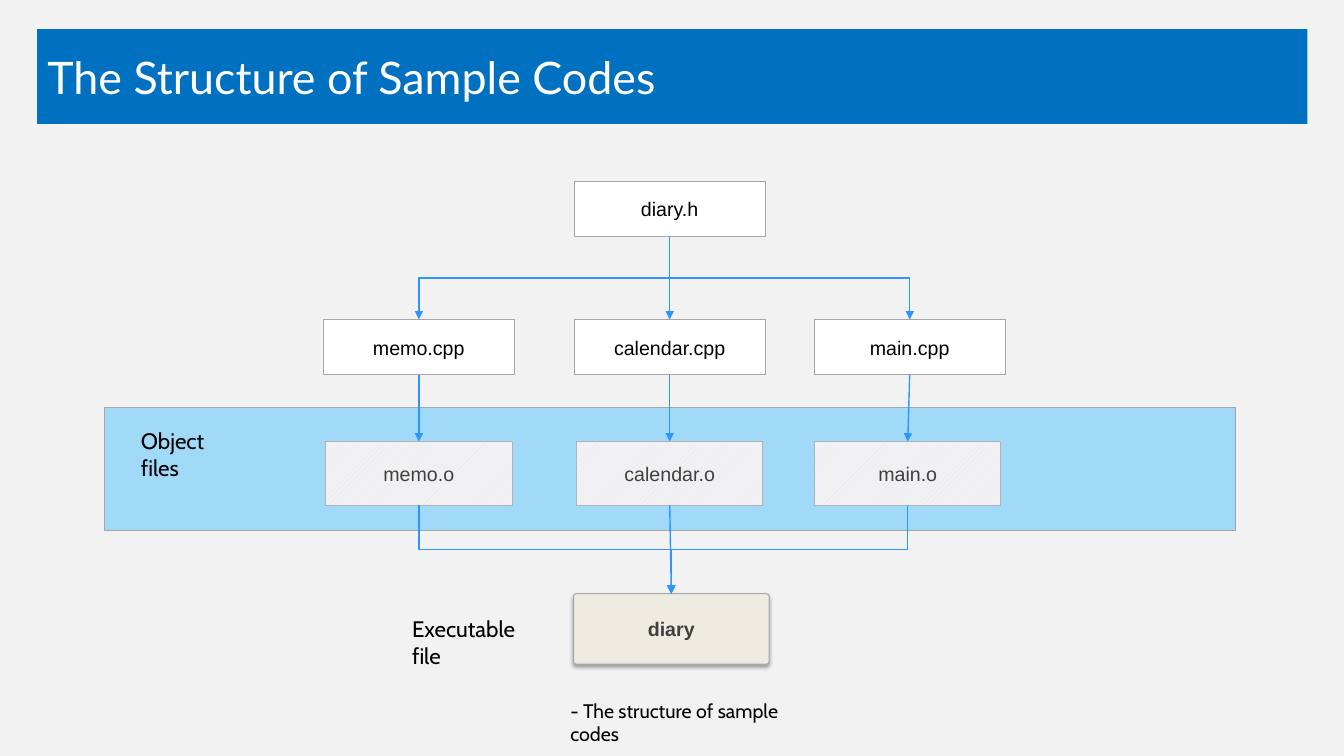
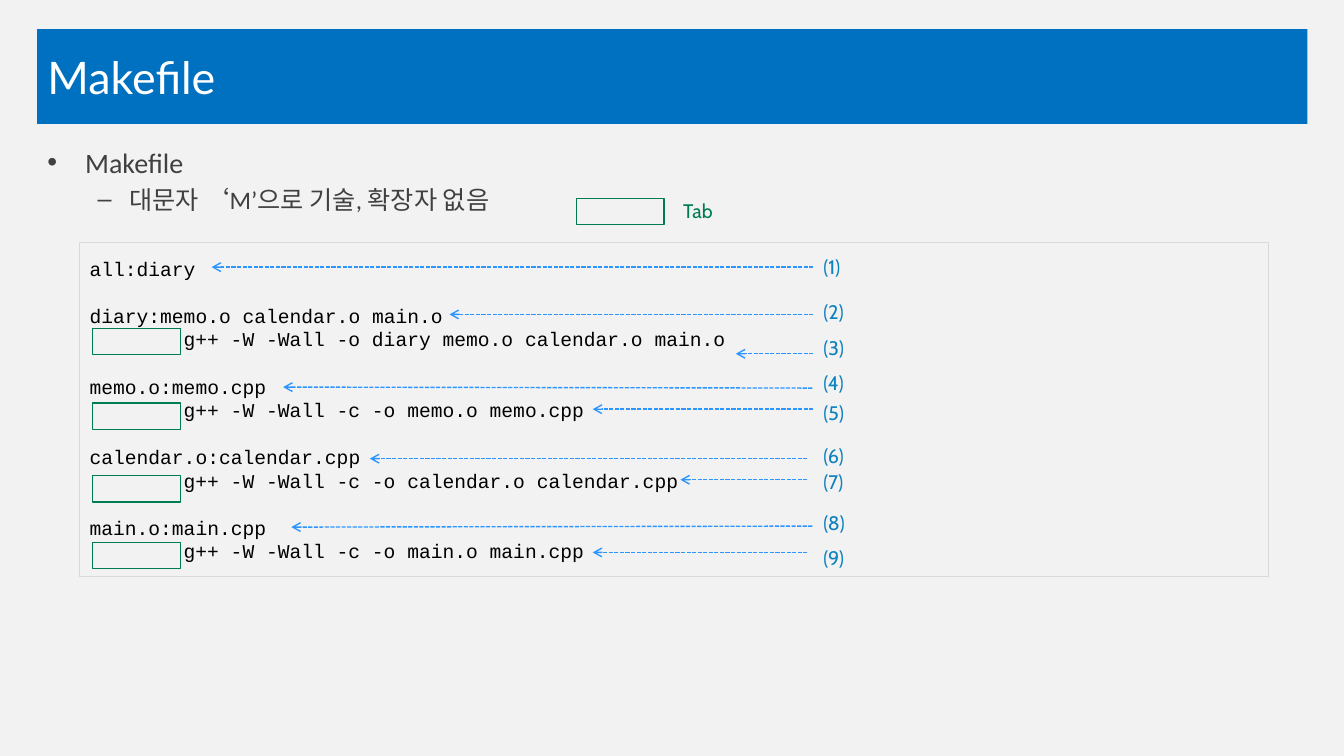
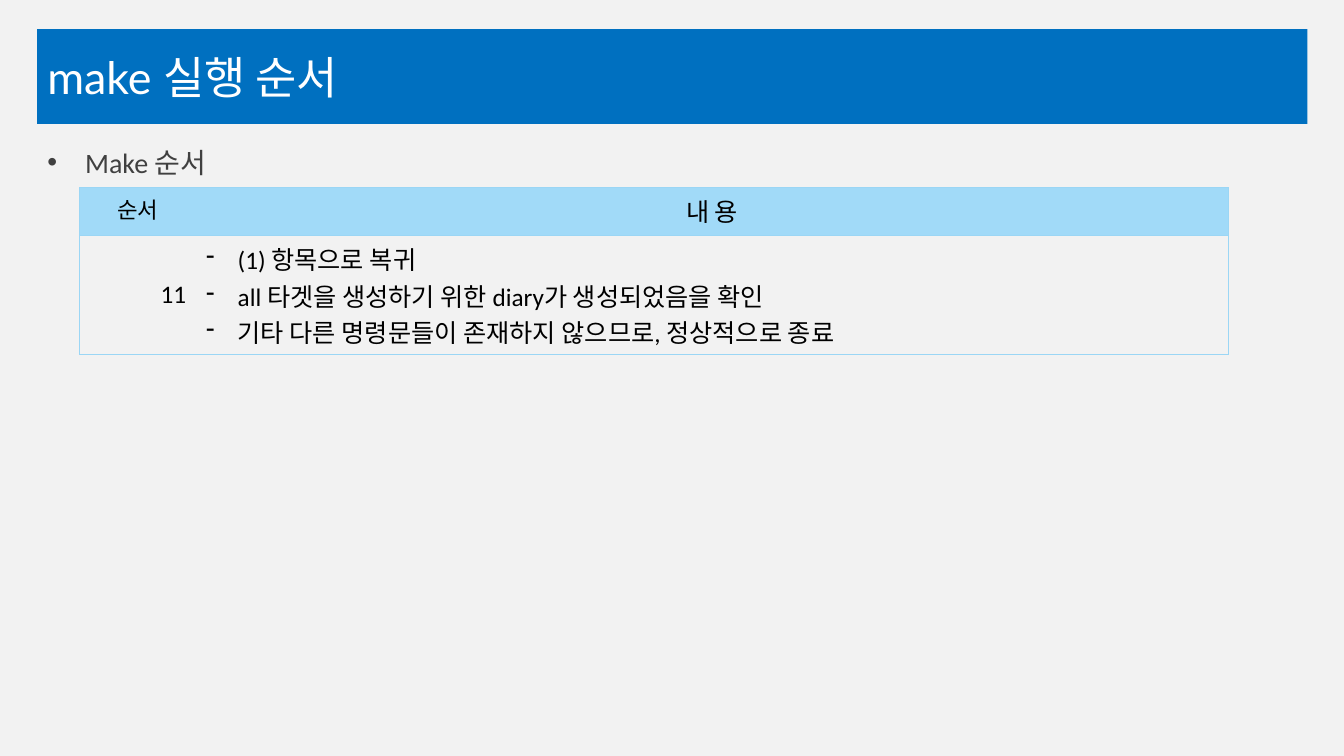
from dataclasses import dataclass

from lxml import etree
from pptx import Presentation
from pptx.dml.color import RGBColor
from pptx.enum import dml, shapes, text
from pptx.oxml.ns import qn
from pptx.util import Pt


@dataclass(frozen=True)
class Theme:
    page: str = "F2F2F2"
    band: str = "0070C0"
    white: str = "FFFFFF"
    black: str = "000000"
    gray_text: str = "404040"
    sky: str = "A1DAF8"
    table_edge: str = "9BD6F5"
    box_edge: str = "A6A6A6"
    object_edge: str = "B2B2B2"
    hatch: str = "E8E8E8"
    hatch_back: str = "F1F1F3"
    beige: str = "EEECE1"
    arrow: str = "2C95FF"
    code_edge: str = "D9D9D9"
    green: str = "007B54"
    number: str = "0E82BE"
    title_font: str = "Lato"
    body_font: str = "Calibri"
    box_font: str = "Arial"
    note_font: str = "Cabin"
    code_font: str = "Courier New"
    title_size: float = 32
    list_size: float = 20
    sub_size: float = 18
    label_size: float = 16
    small_size: float = 14
    hairline: float = 0.75


@dataclass(frozen=True)
class Box:
    left: float
    top: float
    width: float
    height: float

    @property
    def cx(self):
        return self.left + self.width / 2

    @property
    def bottom(self):
        return self.top + self.height

    def inner(self, x, y, width, height):
        return Box(self.left + x, self.top + y, width, height)

    def lengths(self):
        return [Pt(v) for v in (self.left, self.top, self.width, self.height)]


THEME = Theme()
TITLE_BOX = Box(26.6, 20.9, 907.2, 67.7)
BODY_BOX = Box(26.6, 100.1, 907.2, 419.8)
TITLE_ONLY, TITLE_AND_BODY = 5, 1
ALIGN = text.PP_ALIGN
ANCHOR = text.MSO_ANCHOR


def rgb(color):
    return RGBColor.from_string(color)


def add_run(paragraph, words, size, font, color, bold=False):
    run = paragraph.add_run()
    run.text = words
    run.font.size, run.font.name, run.font.bold = Pt(size), font, bold
    run.font.color.rgb = rgb(color)


def indent(paragraph, margin, first=0, bullet=None):
    properties = paragraph._p.get_or_add_pPr()
    properties.set("marL", str(Pt(margin)))
    properties.set("indent", str(Pt(first)))
    if bullet:
        etree.SubElement(properties, qn("a:buChar")).set("char", bullet)


def place(placeholder, box):
    placeholder.left, placeholder.top, placeholder.width, placeholder.height = box.lengths()
    placeholder.text_frame.auto_size = text.MSO_AUTO_SIZE.NONE


def new_slide(prs, title, layout):
    slide = prs.slides.add_slide(prs.slide_layouts[layout])
    heading = slide.shapes.title
    place(heading, TITLE_BOX)
    heading.fill.solid()
    heading.fill.fore_color.rgb = rgb(THEME.band)
    heading.text_frame.vertical_anchor = ANCHOR.MIDDLE
    paragraph = heading.text_frame.paragraphs[0]
    paragraph.alignment = ALIGN.LEFT
    add_run(paragraph, title, THEME.title_size, THEME.title_font, THEME.white)
    return slide


def fill_body(slide, items):
    """Write the list; the first item is level 0, the others level 1."""
    body = slide.placeholders[1]
    place(body, BODY_BOX)
    frame = body.text_frame
    for index, item in enumerate(items):
        paragraph = frame.add_paragraph() if index else frame.paragraphs[0]
        paragraph.level = min(index, 1)
        size = THEME.sub_size if index else THEME.list_size
        add_run(paragraph, item, size, THEME.body_font, THEME.gray_text)


def add_box(slide, box, edge, fill=None, width=THEME.hairline,
            preset=shapes.MSO_SHAPE.RECTANGLE):
    shape = slide.shapes.add_shape(preset, *box.lengths())
    shape.shadow.inherit = False
    shape.line.color.rgb = rgb(edge)
    shape.line.width = Pt(width)
    if fill:
        shape.fill.solid()
        shape.fill.fore_color.rgb = rgb(fill)
    else:
        shape.fill.background()
    return shape


def label_box(shape, words, color, bold=False):
    paragraph = shape.text_frame.paragraphs[0]
    paragraph.alignment = ALIGN.CENTER
    add_run(paragraph, words, THEME.small_size, THEME.box_font, color, bold)


def add_note(slide, box, words, size, color=THEME.black):
    frame = slide.shapes.add_textbox(*box.lengths()).text_frame
    frame.word_wrap = True
    add_run(frame.paragraphs[0], words, size, THEME.note_font, color)


def add_arrow(slide, start, end, kind=shapes.MSO_CONNECTOR.STRAIGHT,
              head="triangle", dash=None):
    connector = slide.shapes.add_connector(kind, *[Pt(v) for v in (*start, *end)])
    connector.line.color.rgb = rgb(THEME.arrow)
    connector.line.width = Pt(1)
    if dash:
        connector.line.dash_style = dash
    properties = connector._element.spPr
    etree.SubElement(properties.find(qn("a:ln")), qn("a:tailEnd")).set("type", head)
    etree.SubElement(properties, qn("a:effectLst"))
    return connector


def add_vertical_elbow(slide, start, end):
    """Elbow arrow that leaves downwards: a quarter-turned horizontal elbow."""
    (x1, y1), (x2, y2) = start, end
    drop, reach = y2 - y1, abs(x2 - x1)
    near, far = (x1 + x2 - drop) / 2, (x1 + x2 + drop) / 2
    top = (y1 + y2 - reach) / 2
    to_right = x2 > x1
    first, last = (far, near) if to_right else (near, far)
    elbow = add_arrow(slide, (first, top), (last, top + reach),
                      shapes.MSO_CONNECTOR.ELBOW)
    quarter_turns = 3 if to_right else 1
    elbow._element.spPr.find(qn("a:xfrm")).set("rot", str(quarter_turns * 90 * 60000))


def add_soft_shadow(shape):
    effects = shape._element.spPr.find(qn("a:effectLst"))
    shadow = etree.SubElement(effects, qn("a:outerShdw"), blurRad=str(Pt(3.1)),
                              dist=str(Pt(1.8)), dir="5400000", rotWithShape="0")
    color = etree.SubElement(shadow, qn("a:srgbClr"), val=THEME.black)
    etree.SubElement(color, qn("a:alpha"), val="35000")


def draw_source_file(slide, box, words):
    label_box(add_box(slide, box, THEME.box_edge, THEME.white), words, THEME.black)


def draw_object_file(slide, box, words):
    shape = add_box(slide, box, THEME.object_edge)
    shape.fill.patterned()
    shape.fill.pattern = dml.MSO_PATTERN.WIDE_UPWARD_DIAGONAL
    shape.fill.fore_color.rgb = rgb(THEME.hatch)
    shape.fill.back_color.rgb = rgb(THEME.hatch_back)
    shape.text_frame.word_wrap = False
    label_box(shape, words, THEME.gray_text)


def draw_executable(slide, box, words):
    shape = add_box(slide, box, THEME.box_edge, THEME.beige,
                    preset=shapes.MSO_SHAPE.ROUNDED_RECTANGLE)
    shape.adjustments[0] = 0.04
    add_soft_shadow(shape)
    label_box(shape, words, THEME.gray_text, bold=True)


def draw_build_tree(slide, area):
    """Header, sources, objects and executable, joined from top to bottom."""
    modules = [("memo", 224.3, 224.3), ("calendar", 403.5, 403.5), ("main", 574.9, 573.5)]
    source_w, source_h, object_w, object_h = 136.4, 39.6, 133.2, 45.4
    add_box(slide, area.inner(0, 161.3, area.width, 87.8), THEME.box_edge, THEME.sky)
    header = area.inner(403.5 - source_w / 2, 0, source_w, source_h)
    executable = area.inner(334.8, 294.5, 139.7, 50.4)
    draw_source_file(slide, header, "diary.h")
    draw_executable(slide, executable, "diary")

    for name, source_x, object_x in modules:
        source = area.inner(source_x - source_w / 2, 98.6, source_w, source_h)
        compiled = area.inner(object_x - object_w / 2, 185.8, object_w, object_h)
        draw_source_file(slide, source, f"{name}.cpp")
        draw_object_file(slide, compiled, f"{name}.o")
        join = add_arrow if name == "calendar" else add_vertical_elbow
        join(slide, (header.cx, header.bottom), (source.cx, source.top))
        add_arrow(slide, (source.cx, source.bottom), (compiled.cx, compiled.top))
        join(slide, (compiled.cx, compiled.bottom), (executable.cx, executable.top))

    add_note(slide, area.inner(18.7, 172.1, 81.4, 26.6), "Object files", THEME.label_size)
    add_note(slide, area.inner(212.4, 306, 101.5, 26.6), "Executable file", THEME.label_size)
    add_note(slide, area.inner(325.4, 365.8, 175.7, 24.5),
             "- The structure of sample codes", THEME.small_size)


def draw_tab_mark(slide, box):
    add_box(slide, box, THEME.green, width=1)


def draw_tab_legend(slide, area):
    draw_tab_mark(slide, area.inner(0, 2.9, 62.6, 18.7))
    add_note(slide, area.inner(69.1, 0, 69.1, 24.5), "Tab", THEME.small_size, THEME.green)


def draw_code(slide, area, rules):
    """Each rule is a target line and, where there is one, its command."""
    line_height, tab_width = 16.8, 67.2
    frame = add_box(slide, area, THEME.code_edge).text_frame
    frame.word_wrap = True
    lines = [(line, depth, number) for number, rule in enumerate(rules)
             for depth, line in enumerate(rule)]
    for index, (line, depth, number) in enumerate(lines):
        paragraph = frame.add_paragraph() if index else frame.paragraphs[0]
        paragraph.alignment = ALIGN.LEFT
        paragraph.line_spacing = Pt(line_height)
        paragraph.space_before = Pt(line_height if number and not depth else 0)
        indent(paragraph, depth * tab_width)
        add_run(paragraph, line, THEME.small_size, THEME.code_font, THEME.black)


def draw_code_marks(slide, area):
    for top in (61.2, 114.5, 166.3, 213.9):
        draw_tab_mark(slide, area.inner(9.3, top, 62.6, 18.7))
    # label top, arrow start (x, y), arrow end (x, y)
    callouts = [
        (5.1, (524.1, 17.3), (94.3, 17.3)),
        (37.5, (524.1, 51.1), (264.2, 51.1)),
        (62.7, (524.1, 79.2), (468.7, 79.2)),
        (87.9, (523.4, 103.7), (145.4, 103)),
        (109.5, (524.1, 118.8), (366.5, 118.8)),
        (140.4, (519.8, 154.1), (207.3, 154.1)),
        (158.4, (519.8, 169.2), (429.1, 169.2)),
        (187.9, (523.4, 202.3), (151.2, 203)),
        (213.1, (519.8, 221.1), (366.5, 221.1)),
    ]
    for number, (top, start, end) in enumerate(callouts, 1):
        add_note(slide, area.inner(524.1, top, 69.1, 24.5), f"({number})",
                 THEME.small_size, THEME.number)
        start, end = [(area.left + x, area.top + y) for x, y in (start, end)]
        add_arrow(slide, start, end, head="arrow", dash=dml.MSO_LINE.SQUARE_DOT)


def set_borders(cell, sides):
    """Draw the named sides (of L, R, T, B) and clear the others."""
    properties = cell._tc.get_or_add_tcPr()
    for position, side in enumerate("LRTB"):
        edge = etree.Element(qn(f"a:ln{side}"), w=str(Pt(THEME.hairline)))
        if side in sides:
            paint = etree.SubElement(edge, qn("a:solidFill"))
            etree.SubElement(paint, qn("a:srgbClr"), val=THEME.table_edge)
        else:
            etree.SubElement(edge, qn("a:noFill"))
        properties.insert(position, edge)


def fill_cell(cell, lines, size, align, sides, fill=None, bullet=None):
    if fill:
        cell.fill.solid()
        cell.fill.fore_color.rgb = rgb(fill)
    else:
        cell.fill.background()
    cell.vertical_anchor = ANCHOR.TOP if fill else ANCHOR.MIDDLE
    set_borders(cell, sides)
    for index, line in enumerate(lines):
        frame = cell.text_frame
        paragraph = frame.add_paragraph() if index else frame.paragraphs[0]
        paragraph.alignment = align
        if bullet:
            indent(paragraph, 22.5, -22.5, bullet)
        add_run(paragraph, line, size, THEME.body_font, THEME.black)


def draw_step_table(slide, area, step, details):
    table = slide.shapes.add_table(2, 2, *area.lengths()).table
    table.first_row = table.horz_banding = False
    step_width, header_height = 83.2, 34.2
    table.columns[0].width = Pt(step_width)
    table.columns[1].width = Pt(area.width - step_width)
    table.rows[0].height = Pt(header_height)
    table.rows[1].height = Pt(area.height - header_height)
    fill_cell(table.cell(0, 0), ["순서"], THEME.label_size, ALIGN.CENTER, "LTB", THEME.sky)
    fill_cell(table.cell(0, 1), ["내 용"], THEME.sub_size, ALIGN.CENTER, "RTB", THEME.sky)
    fill_cell(table.cell(1, 0), [step], THEME.sub_size, ALIGN.RIGHT, "LTB")
    fill_cell(table.cell(1, 1), details, THEME.sub_size, ALIGN.LEFT, "RTB", bullet="-")


def build_structure(prs):
    slide = new_slide(prs, "The Structure of Sample Codes", TITLE_ONLY)
    draw_build_tree(slide, Box(74.9, 129.6, 807.8, 390.3))


def build_makefile(prs):
    slide = new_slide(prs, "Makefile", TITLE_AND_BODY)
    fill_body(slide, ["Makefile", "대문자 ‘M’으로 기술, 확장자 없음"])
    code_area = Box(56.9, 173.5, 848.9, 238.3)
    draw_code(slide, code_area, [
        ["all:diary"],
        ["diary:memo.o calendar.o main.o",
         "g++ -W -Wall -o diary memo.o calendar.o main.o"],
        *[[f"{name}.o:{name}.cpp", f"g++ -W -Wall -c -o {name}.o {name}.cpp"]
          for name in ("memo", "calendar", "main")],
    ])
    draw_code_marks(slide, code_area)
    draw_tab_legend(slide, Box(411.8, 138.9, 138.2, 24.5))


def build_order(prs):
    slide = new_slide(prs, "make 실행 순서", TITLE_AND_BODY)
    fill_body(slide, ["Make 순서"])
    draw_step_table(slide, Box(56.9, 133.9, 820.4, 118.6), "11", [
        "(1) 항목으로 복귀",
        "all 타겟을 생성하기 위한 diary가 생성되었음을 확인",
        "기타 다른 명령문들이 존재하지 않으므로, 정상적으로 종료",
    ])


def main():
    prs = Presentation()
    prs.slide_width, prs.slide_height = Pt(960), Pt(540)
    backdrop = prs.slide_master.background.fill
    backdrop.solid()
    backdrop.fore_color.rgb = rgb(THEME.page)
    for build in (build_structure, build_makefile, build_order):
        build(prs)
    prs.save("out.pptx")


if __name__ == "__main__":
    main()
